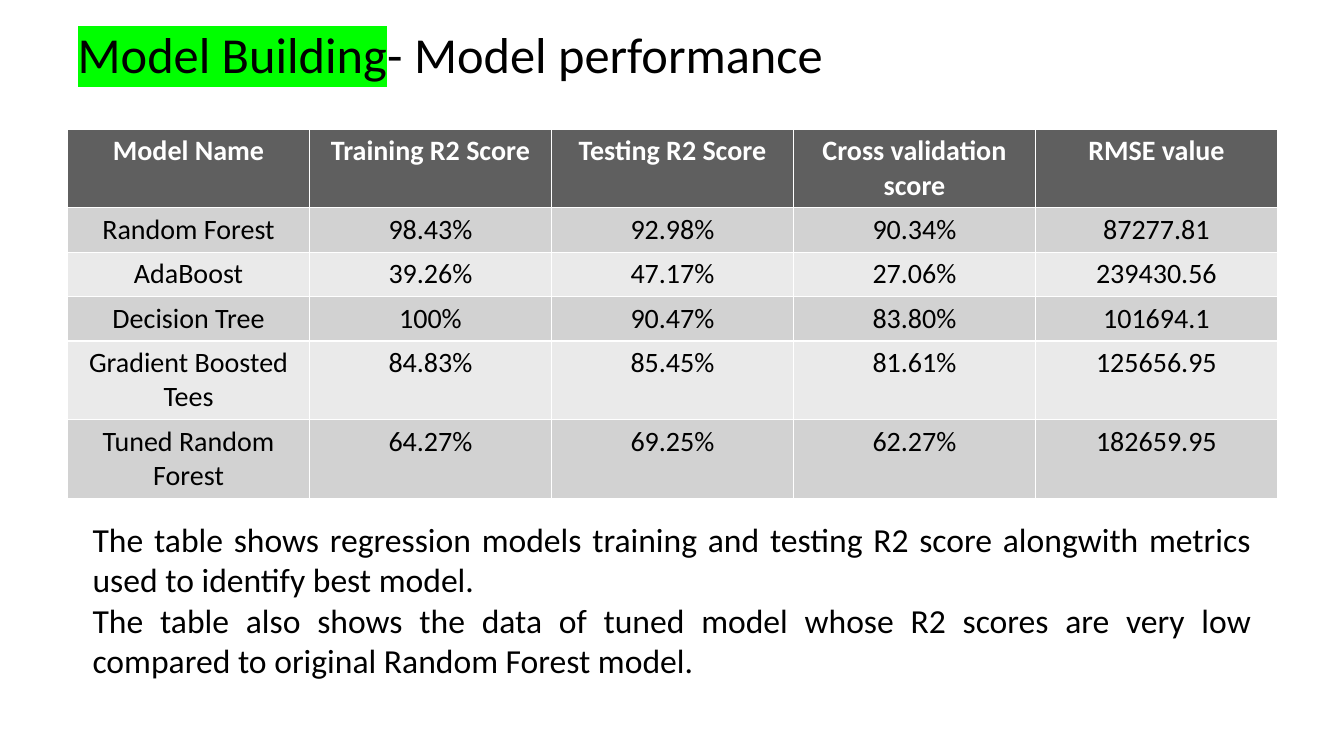
from dataclasses import dataclass

from lxml import etree
from pptx import Presentation
from pptx.dml.color import RGBColor
from pptx.enum import text
from pptx.oxml import ns
from pptx.util import Inches, Pt


@dataclass(frozen=True)
class Theme:
    """Font, colours and type sizes of the slide."""
    font: str = "Calibri"
    ink: str = "000000"
    white: str = "FFFFFF"
    header: str = "5F5F5F"
    bands: tuple = ("D2D2D2", "EAEAEA")
    highlight: str = "00FF00"
    title_size: int = 36
    table_size: int = 20
    body_size: int = 24


class Deck:
    """Holds the theme and the current slide, and adds elements to it."""

    def __init__(self, prs, theme):
        """Start a title-only slide."""
        self.theme = theme
        self.s = prs.slides.add_slide(prs.slide_layouts[5])

    def style(self, p, size, color, align, bold=False):
        """Set the font and alignment of a paragraph."""
        p.alignment = align
        f = p.font
        f.name, f.size, f.bold = self.theme.font, Pt(size), bold
        f.color.rgb = RGBColor.from_string(color)

    def title(self, marked, rest, left, top, width, height):
        """Fill the title, with its first words highlighted."""
        sp = self.s.shapes.title
        sp.left, sp.top = Inches(left), Inches(top)
        sp.width, sp.height = Inches(width), Inches(height)
        tf = sp.text_frame
        tf.auto_size = text.MSO_AUTO_SIZE.NONE
        tf.vertical_anchor = text.MSO_ANCHOR.MIDDLE
        p = tf.paragraphs[0]
        self.style(p, self.theme.title_size, self.theme.ink, text.PP_ALIGN.LEFT)
        r = p.add_run()
        r.text = marked
        mark = etree.SubElement(r.font._element, ns.qn("a:highlight"))
        etree.SubElement(mark, ns.qn("a:srgbClr"), val=self.theme.highlight)
        p.add_run().text = rest

    def table(self, rows, left, top, width, row_height):
        """Add a table with a dark header and banded rows."""
        t = self.theme
        table = self.s.shapes.add_table(
            len(rows), len(rows[0]), Inches(left), Inches(top),
            Inches(width), Inches(row_height * len(rows))).table
        for i, row in enumerate(rows):
            is_header = i == 0
            fill = t.header if is_header else t.bands[(i - 1) % 2]
            for j, value in enumerate(row):
                cell = table.cell(i, j)
                cell.text = value
                cell.fill.solid()
                cell.fill.fore_color.rgb = RGBColor.from_string(fill)
                self.style(cell.text_frame.paragraphs[0], t.table_size,
                           t.white if is_header else t.ink,
                           text.PP_ALIGN.CENTER, is_header)

    def body(self, lines, left, top, width, height):
        """Add a text box of justified paragraphs."""
        tf = self.s.shapes.add_textbox(
            Inches(left), Inches(top), Inches(width), Inches(height)).text_frame
        tf.word_wrap = True
        tf.auto_size = text.MSO_AUTO_SIZE.SHAPE_TO_FIT_TEXT
        tf.text = "\n".join(lines)
        for p in tf.paragraphs:
            self.style(p, self.theme.body_size, self.theme.ink,
                       text.PP_ALIGN.JUSTIFY)


SCORES = [
    ("Model Name", "Training R2 Score", "Testing R2 Score",
     "Cross validation score", "RMSE value"),
    ("Random Forest", "98.43%", "92.98%", "90.34%", "87277.81"),
    ("AdaBoost", "39.26%", "47.17%", "27.06%", "239430.56"),
    ("Decision Tree", "100%", "90.47%", "83.80%", "101694.1"),
    ("Gradient Boosted Tees", "84.83%", "85.45%", "81.61%", "125656.95"),
    ("Tuned Random Forest", "64.27%", "69.25%", "62.27%", "182659.95"),
]
FINDINGS = [
    "The table shows regression models training and testing R2 score "
    "alongwith metrics used to identify best model.",
    "The table also shows the data of tuned model whose R2 scores are very "
    "low compared to original Random Forest model.",
]


def main():
    """Build and save the slide."""
    prs = Presentation()
    prs.slide_width, prs.slide_height = Inches(13.33), Inches(7.5)
    deck = Deck(prs, Theme())
    deck.title("Model Building", "- Model performance", 0.67, 0.21, 12, 0.64)
    deck.table(SCORES, 0.67, 1.28, 12, 0.42)
    deck.body(FINDINGS, 0.82, 5.1, 11.69, 1.72)
    prs.save("out.pptx")


main()
